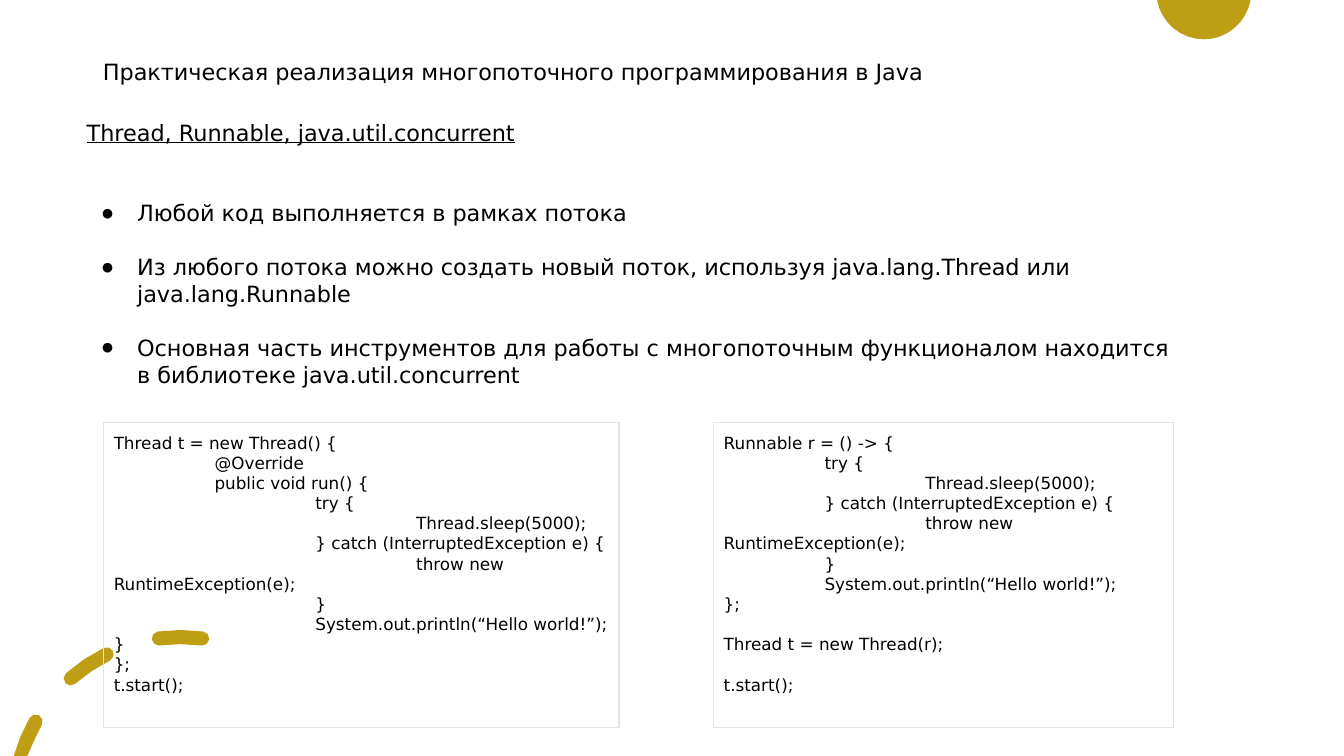
"""Build a slide on multithreading in Java with two code samples."""
from math import cos, radians, sin

from lxml import etree
from pptx import Presentation, util as u
from pptx.dml.color import RGBColor
from pptx.enum import shapes, text
from pptx.oxml.ns import qn

WIDTH, HEIGHT = 13.33, 7.5
COLORS = {"gold": "BE9E15", "ink": "000000", "frame": "E8E2E8"}


def add_line(frame, words, size=16, before=0, underline=False, bullet=None):
    """Append one formatted paragraph to a text frame."""
    para = frame.paragraphs[0]
    if para.runs:
        para = frame.add_paragraph()
    para.alignment = text.PP_ALIGN.LEFT
    para.space_before, para.space_after = u.Pt(before), u.Pt(0)
    span = para.add_run()
    span.text = words
    span.font.size, span.font.name = u.Pt(size), "DejaVu Sans"
    span.font.underline = underline
    span.font.color.rgb = RGBColor.from_string(COLORS["ink"])
    props = para._p.get_or_add_pPr()
    props.set("marL", str(u.Inches(0.5 if bullet else 0)))
    props.set("indent", str(u.Inches(-0.36 if bullet else 0)))
    props.set("defTabSz", str(u.Inches(1)))
    if bullet:
        etree.SubElement(props, qn("a:buChar")).set("char", bullet)
    else:
        etree.SubElement(props, qn("a:buNone"))


def add_outlines(page, outlines):
    """Draw closed outlines, given in inches, as one gold shape."""
    outlines = [[(x * 1000, y * 1000) for x, y in points] for points in outlines]
    builder = page.shapes.build_freeform(*outlines[0][0], scale=u.Inches(1) / 1000)
    for number, points in enumerate(outlines):
        if number:
            builder.move_to(*points[0])
        builder.add_line_segments(points[1:], close=True)
    shape = builder.convert_to_shape()
    shape.shadow.inherit = False
    shape.fill.solid()
    shape.fill.fore_color.rgb = RGBColor.from_string(COLORS["gold"])
    shape.line.fill.background()


deck = Presentation()
deck.slide_width, deck.slide_height = u.Inches(WIDTH), u.Inches(HEIGHT)
page = deck.slides.add_slide(deck.slide_layouts[1])
title, body = page.placeholders

for box, place in ((title, (0.92, 0.4, 11.39, 0.61)), (body, (0.76, 1.13, 10.99, 3.06))):
    box.left, box.top, box.width, box.height = map(u.Inches, place)
    box.text_frame.auto_size = text.MSO_AUTO_SIZE.NONE
title.text_frame.vertical_anchor = text.MSO_ANCHOR.MIDDLE
add_line(title.text_frame, "Практическая реализация многопоточного программирования в Java")

add_line(body.text_frame, "Thread, Runnable, java.util.concurrent", underline=True)
bullets = (
    "Любой код выполняется в рамках потока",
    "Из любого потока можно создать новый поток, используя java.lang.Thread или java.lang.Runnable",
    "Основная часть инструментов для работы с многопоточным функционалом находится в библиотеке java.util.concurrent",
)
for number, words in enumerate(bullets):
    add_line(body.text_frame, words, before=19.2 if number else 38.4, bullet="●")

add_outlines(page, [[(11.94 + 0.47 * cos(radians(a)), -0.08 + 0.47 * sin(radians(a)))
                     for a in range(10, 171, 10)]])

ring_x, ring_y, ring_radius, half = 1.79, 7.97, 1.65, 0.07
dashes = []
for start, end in ((16 + 180, 209.5), (228.7, 243.7), (262.5, 277.5)):
    middle = (start + end) / 2
    route = [(start, 0, 0), (middle, half, middle)]
    route = [(middle, half, middle)]
    route += [(end, half, end + turn) for turn in range(0, 181, 45)]
    route += [(middle, half, middle + 180)]
    route += [(start, half, start + turn) for turn in range(180, 361, 45)]
    dashes.append([(ring_x + ring_radius * cos(radians(a)) + cap * cos(radians(turn)),
                    min(HEIGHT, ring_y + ring_radius * sin(radians(a)) + cap * sin(radians(turn))))
                   for a, cap, turn in route])
add_outlines(page, dashes)

thread_code = """Thread t = new Thread() {
\t@Override
\tpublic void run() {
\t\ttry {
\t\t\tThread.sleep(5000);
\t\t} catch (InterruptedException e) {
\t\t\tthrow new RuntimeException(e);
\t\t}
\t\tSystem.out.println(“Hello world!”);\t}
};
t.start();"""
runnable_code = """Runnable r = () -> {
\ttry {
\t\tThread.sleep(5000);
\t} catch (InterruptedException e) {
\t\tthrow new RuntimeException(e);
\t}
\tSystem.out.println(“Hello world!”);
};

Thread t = new Thread(r);

t.start();"""
for left, width, code in ((1.03, 5.11, thread_code), (7.08, 4.56, runnable_code)):
    box = page.shapes.add_shape(shapes.MSO_SHAPE.RECTANGLE, u.Inches(left), u.Inches(4.19),
                                u.Inches(width), u.Inches(3.03))
    box.shadow.inherit = False
    box.fill.background()
    box.line.color.rgb = RGBColor.from_string(COLORS["frame"])
    box.line.width = u.Pt(0.75)
    frame = box.text_frame
    frame.word_wrap = True
    frame.vertical_anchor = text.MSO_ANCHOR.TOP
    frame.margin_left = frame.margin_right = u.Inches(0.1)
    frame.margin_top = frame.margin_bottom = u.Inches(0.1)
    gap = 0
    for words in code.split("\n"):
        if words:
            add_line(frame, words, size=12, before=gap)
        gap = 0 if words else 14.4

deck.save("out.pptx")
